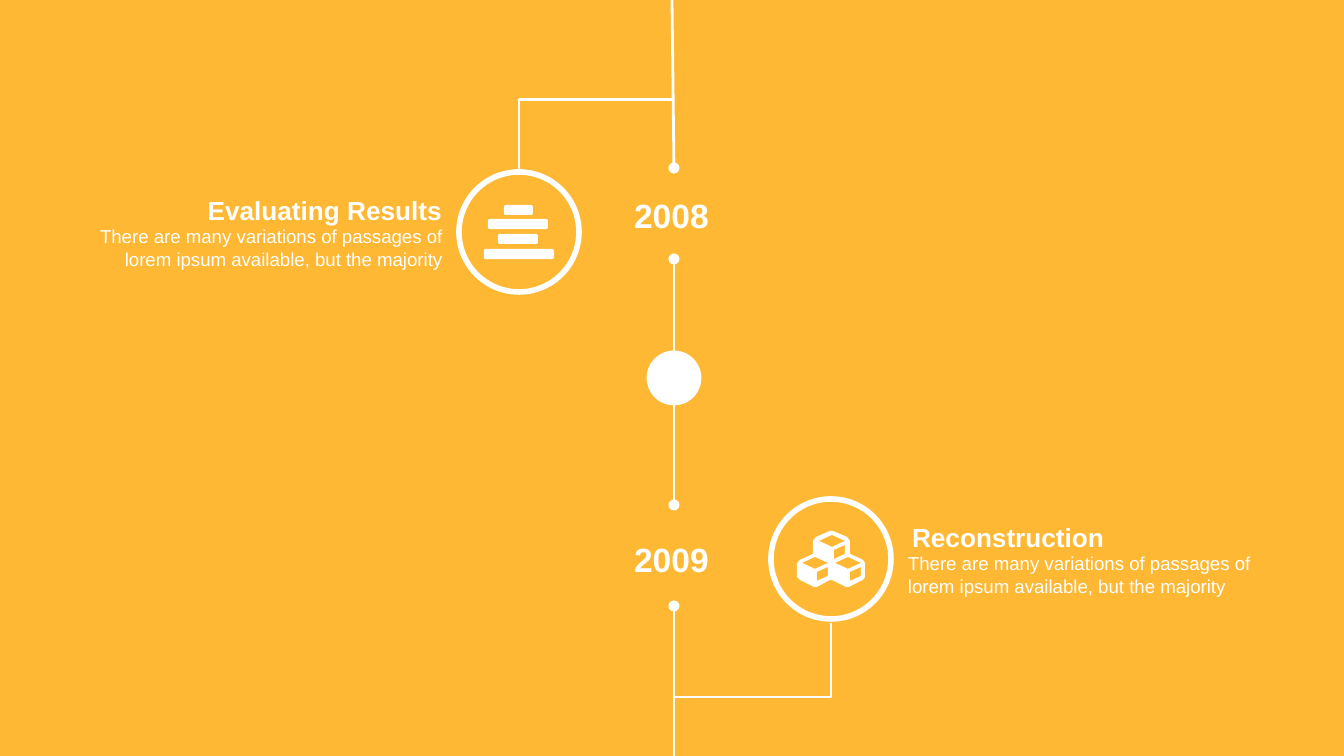
from lxml.etree import SubElement
from pptx import Presentation
from pptx.dml.color import RGBColor
from pptx.enum.shapes import MSO_CONNECTOR as CONNECTOR, MSO_SHAPE as SHAPE
from pptx.enum.text import MSO_ANCHOR as ANCHOR, MSO_AUTO_SIZE as AUTO_SIZE, PP_ALIGN as ALIGN
from pptx.oxml.ns import qn
from pptx.util import Pt

SCALE = 914400 / 134.4
WIDTH, HEIGHT = 1344, 756
AXIS = 674
WHITE = RGBColor(0xFF, 0xFF, 0xFF)
AMBER = RGBColor(0xFE, 0xB8, 0x34)
BODY = "There are many variations of passages of lorem ipsum available, but the majority"


def px(*lengths):
    return [round(length * SCALE) for length in lengths]


def add_text(text, *box, size, bold=False, wrap=True, align=ALIGN.LEFT, anchor=ANCHOR.MIDDLE):
    frame = slide.shapes.add_textbox(*px(*box)).text_frame
    frame.margin_left = frame.margin_top = frame.margin_right = frame.margin_bottom = 0
    frame.word_wrap = wrap
    frame.auto_size = AUTO_SIZE.SHAPE_TO_FIT_TEXT
    frame.vertical_anchor = anchor
    paragraph = frame.paragraphs[0]
    paragraph.alignment = align
    run = paragraph.add_run()
    run.text = text
    run.font.name = "Arial"
    run.font.size = Pt(size)
    run.font.bold = bold
    run.font.color.rgb = WHITE


presentation = Presentation()
presentation.slide_width, presentation.slide_height = px(WIDTH, HEIGHT)
slide = presentation.slides.add_slide(presentation.slide_layouts[6])

background = slide.shapes.add_shape(SHAPE.RECTANGLE, *px(0, 0, WIDTH, HEIGHT))
background.shadow.inherit = False
background.fill.solid()
background.fill.fore_color.rgb = AMBER
background.line.fill.background()

connectors = []
for start_x, start_y, end_y, ends in [
    (AXIS, 606, HEIGHT, ["headEnd"]),
    (AXIS, 378, 505, ["headEnd", "tailEnd"]),
    (AXIS, 259, 378, ["headEnd", "tailEnd"]),
    (672, 0, 168, ["tailEnd"]),
]:
    connector = slide.shapes.add_connector(
        CONNECTOR.STRAIGHT, *px(start_x, start_y, AXIS, end_y))
    connectors.append((connector, ends))

for start_x, start_y, end_x, end_y in [(519, 173, AXIS, 100), (831, 623, AXIS, 697)]:
    center_x, center_y = (start_x + end_x) / 2, (start_y + end_y) / 2
    offset_x, offset_y = (start_y - end_y) / 2, (end_x - start_x) / 2
    connector = slide.shapes.add_connector(CONNECTOR.ELBOW, *px(
        center_x + offset_x, center_y + offset_y, center_x - offset_x, center_y - offset_y))
    properties = connector._element.spPr
    properties.find(qn("a:xfrm")).set("rot", "5400000")
    properties.find(qn("a:prstGeom")).set("prst", "bentConnector2")
    connectors.append((connector, []))

for connector, ends in connectors:
    connector.line.color.rgb = WHITE
    connector.line.width = Pt(1.5)
    properties = connector._element.spPr
    for end in ends:
        SubElement(properties.find(qn("a:ln")), qn(f"a:{end}"), type="oval")
    SubElement(properties, qn("a:effectLst"))

for left, top, diameter, weight, filled in [
    (648, 352, 52, 1.5, True), (459, 172, 120, 3, False), (771, 499, 120, 3, False),
]:
    circle = slide.shapes.add_shape(SHAPE.OVAL, *px(left, top, diameter, diameter))
    circle.shadow.inherit = False
    if filled:
        circle.fill.solid()
        circle.fill.fore_color.rgb = WHITE
    else:
        circle.fill.background()
    circle.line.color.rgb = WHITE
    circle.line.width = Pt(weight)

for year, top in [("2008", 195), ("2009", 539)]:
    add_text(year, 634, top, 75, 40, size=18, bold=True, wrap=False)

for title, title_left, title_width, body_left, top, align in [
    ("Evaluating Results", 192, 250, 71, 194, ALIGN.RIGHT),
    ("Reconstruction", 912, 210, 908, 521, ALIGN.LEFT),
]:
    add_text(title, title_left, top, title_width, 32, size=14, bold=True, align=align)
    add_text(BODY, body_left, top + 31, 371, 46, size=10, align=align, anchor=ANCHOR.TOP)

icon_parts = []
for left, top, width in [(504, 205, 29), (488, 219, 60), (498, 234, 40), (484, 249, 70)]:
    bar = slide.shapes.add_shape(SHAPE.ROUNDED_RECTANGLE, *px(left, top, width, 10))
    bar.adjustments[0] = 0.2
    icon_parts.append(bar)

cube_outline = [
    (865, 577), (863, 580), (849, 587), (846, 587), (832, 580), (830, 580), (817, 587),
    (814, 587), (800, 580), (797, 577), (797, 563), (800, 560), (813, 554), (813, 541),
    (816, 537), (830, 531), (833, 531), (847, 537), (850, 541), (850, 554), (863, 560), (865, 563),
]
cube_faces = [
    [(13, 0), (0, -6), (-13, 0), (0, 6)],
    [(13, 13), (13, 4), (2, 9), (2, 18)],
]
cubes = slide.shapes.build_freeform(*cube_outline[0], scale=SCALE)
cubes.add_line_segments(cube_outline[1:])
for center_x, center_y in [(815, 563), (832, 541), (848, 563)]:
    for face in cube_faces:
        points = [(center_x + x, center_y + y) for x, y in face]
        cubes.move_to(*points[0])
        cubes.add_line_segments(points[1:])
icon_parts.append(cubes.convert_to_shape())

for part in icon_parts:
    part.shadow.inherit = False
    part.fill.solid()
    part.fill.fore_color.rgb = WHITE
    part.line.fill.background()

presentation.save("out.pptx")
